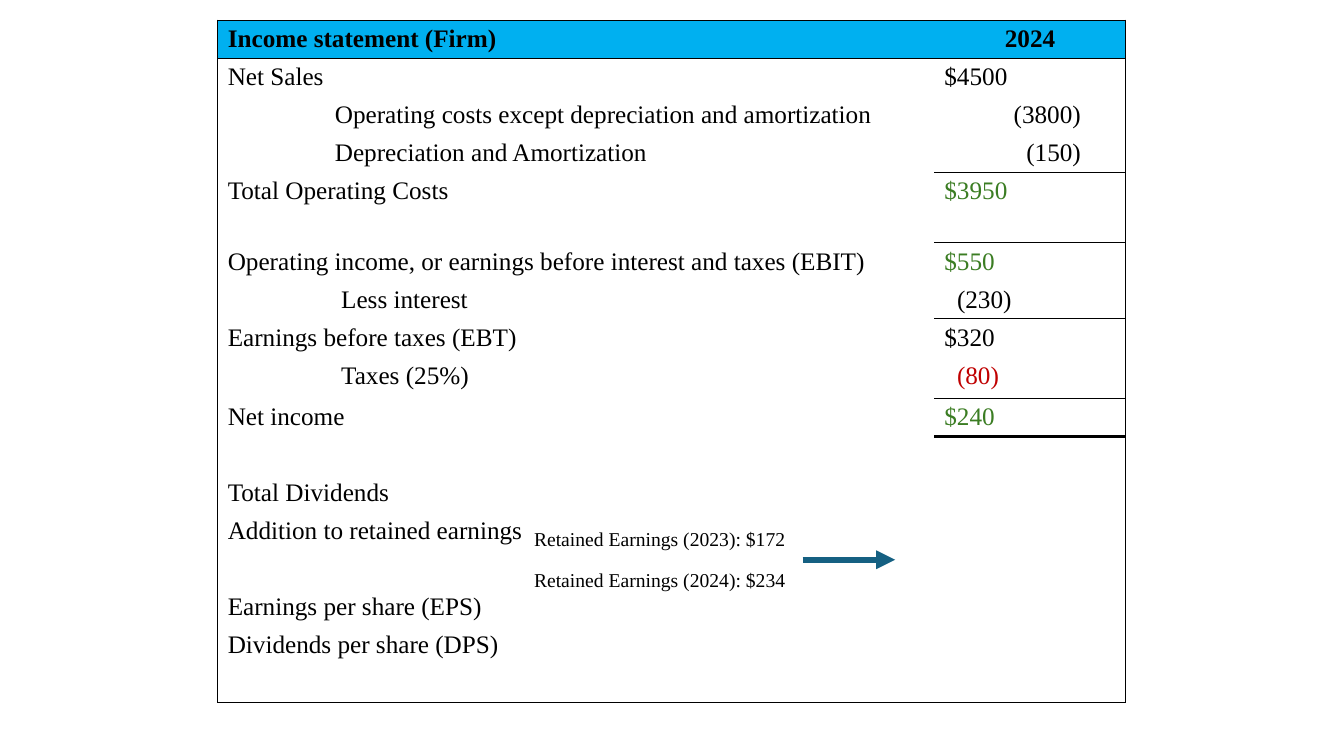
from dataclasses import dataclass

import pptx
import pptx.dml.color
import pptx.enum.shapes
import pptx.enum.text
import pptx.oxml
import pptx.oxml.ns
import pptx.util

Pt = pptx.util.Pt
RGBColor = pptx.dml.color.RGBColor
qn = pptx.oxml.ns.qn

BLACK = RGBColor(0x00, 0x00, 0x00)
GREEN = RGBColor(0x3B, 0x7D, 0x23)
RED = RGBColor(0xC0, 0x00, 0x00)
HEADER_BLUE = RGBColor(0x00, 0xB0, 0xF0)
ARROW_BLUE = RGBColor(0x15, 0x60, 0x82)
FONT = "Times New Roman"
NO_STYLE = "{2D5ABB26-0587-4C30-8999-92F81FD0307C}"
ROW_HEIGHT = 27.15
COLUMN_WIDTHS = (511.9, 136.8)


@dataclass
class StatementRow:
    """One line of the statement; rule is the line width under the amount."""
    label: str = ""
    amount: str = ""
    label_indent: float = 0
    amount_indent: float = 0
    amount_color: RGBColor = BLACK
    rule: float = 0
    height: float = ROW_HEIGHT


ROWS = [
    StatementRow("Income statement (Firm)", "2024", rule=1),
    StatementRow("Net Sales", "$4500"),
    StatementRow("Operating costs except depreciation and amortization", "(3800)", 76.5, 49.5),
    StatementRow("Depreciation and Amortization", "(150)", 76.5, 58.5, rule=1),
    StatementRow("Total Operating Costs", "$3950", amount_color=GREEN, rule=1, height=50.4),
    StatementRow("Operating income, or earnings before interest and taxes (EBIT)", "$550",
                 amount_color=GREEN),
    StatementRow("Less interest", "(230)", 81, 9, rule=1),
    StatementRow("Earnings before taxes (EBT)", "$320"),
    StatementRow("Taxes (25%)", "(80)", 81, 9, RED, rule=1, height=29.5),
    StatementRow("Net income", "$240", amount_color=GREEN, rule=2.25),
    StatementRow(),
    StatementRow("Total Dividends"),
    StatementRow("Addition to retained earnings"),
    StatementRow(),
    StatementRow("Earnings per share (EPS)"),
    StatementRow("Dividends per share (DPS)"),
    StatementRow(rule=1),
]


def set_indent(paragraph, indent: float) -> None:
    properties = paragraph._p.get_or_add_pPr()
    properties.set("marL", str(Pt(indent)))
    properties.set("indent", "0")


def style_font(font, size: float, color: RGBColor, bold: bool = False) -> None:
    font.name = FONT
    font.size = Pt(size)
    font.bold = bold
    font.color.rgb = color


def add_borders(cell, left: float, right: float, top: float, bottom: float) -> None:
    """Draw black cell edges; an edge of width zero is left without a line."""
    properties = cell._tc.get_or_add_tcPr()
    solid = f'<a:solidFill><a:srgbClr val="{BLACK}"/></a:solidFill>'
    for tag, width in (("lnL", left), ("lnR", right), ("lnT", top), ("lnB", bottom)):
        properties.append(pptx.oxml.parse_xml(
            f'<a:{tag} {pptx.oxml.ns.nsdecls("a")} w="{Pt(width)}">'
            f'{solid if width else "<a:noFill/>"}</a:{tag}>'))


def fill_cell(cell, text: str, indent: float, color: RGBColor, header: bool) -> None:
    cell.text_frame.text = text
    paragraph = cell.text_frame.paragraphs[0]
    if indent:
        set_indent(paragraph, indent)
    style_font(paragraph.font, 18, color, header)
    for run in paragraph.runs:
        style_font(run.font, 18, color, header)
    if header:
        cell.vertical_anchor = pptx.enum.text.MSO_ANCHOR.MIDDLE
        cell.fill.solid()
        cell.fill.fore_color.rgb = HEADER_BLUE
    else:
        cell.fill.background()


def add_statement(slide) -> None:
    frame = slide.shapes.add_table(len(ROWS), 2, Pt(155.5), Pt(14.4), Pt(sum(COLUMN_WIDTHS)),
                                   Pt(sum(row.height for row in ROWS)))
    table = frame.table
    table.first_row = table.horz_banding = False
    table._tbl.tblPr.find(qn("a:tableStyleId")).text = NO_STYLE
    for column, width in zip(table.columns, COLUMN_WIDTHS):
        column.width = Pt(width)
    last = len(ROWS) - 1
    for index, row in enumerate(ROWS):
        table.rows[index].height = Pt(row.height)
        header = index == 0
        rule_above = 1 if header else ROWS[index - 1].rule
        label, amount = table.cell(index, 0), table.cell(index, 1)
        add_borders(label, 1, 0, int(index <= 1), int(index in (0, last)))
        add_borders(amount, 0, 1, rule_above, row.rule)
        fill_cell(label, row.label, row.label_indent, BLACK, header)
        fill_cell(amount, row.amount, row.amount_indent, row.amount_color, header)
    table.cell(0, 1).text_frame.paragraphs[0].alignment = pptx.enum.text.PP_ALIGN.CENTER


def add_retained_earnings(slide) -> None:
    box = slide.shapes.add_textbox(Pt(302.4), Pt(373), Pt(283.7), Pt(53.3))
    text_frame = box.text_frame
    text_frame.word_wrap = True
    text_frame.text = "Retained Earnings (2023): $172\nRetained Earnings (2024): $234"
    for index, paragraph in enumerate(text_frame.paragraphs):
        paragraph.level = 2
        set_indent(paragraph, 72)
        paragraph.space_before = Pt(6 if index else 0)
        paragraph.space_after = Pt(6)
        style_font(paragraph.runs[0].font, 14, BLACK)


def add_arrow(slide) -> None:
    arrow = slide.shapes.add_connector(pptx.enum.shapes.MSO_CONNECTOR.STRAIGHT,
                                       Pt(573.3), Pt(399.8), Pt(639.4), Pt(399.8))
    arrow.line.color.rgb = ARROW_BLUE
    arrow.line.width = Pt(4.5)
    namespace = pptx.oxml.ns.nsdecls("a")
    arrow.line._get_or_add_ln().append(
        pptx.oxml.parse_xml(f'<a:tailEnd {namespace} type="triangle"/>'))
    arrow._element.spPr.append(pptx.oxml.parse_xml(f"<a:effectLst {namespace}/>"))


def main() -> None:
    presentation = pptx.Presentation()
    presentation.slide_width = Pt(960)
    presentation.slide_height = Pt(540)
    slide = presentation.slides.add_slide(presentation.slide_layouts[6])
    add_statement(slide)
    add_retained_earnings(slide)
    add_arrow(slide)
    presentation.save("out.pptx")


if __name__ == "__main__":
    main()
